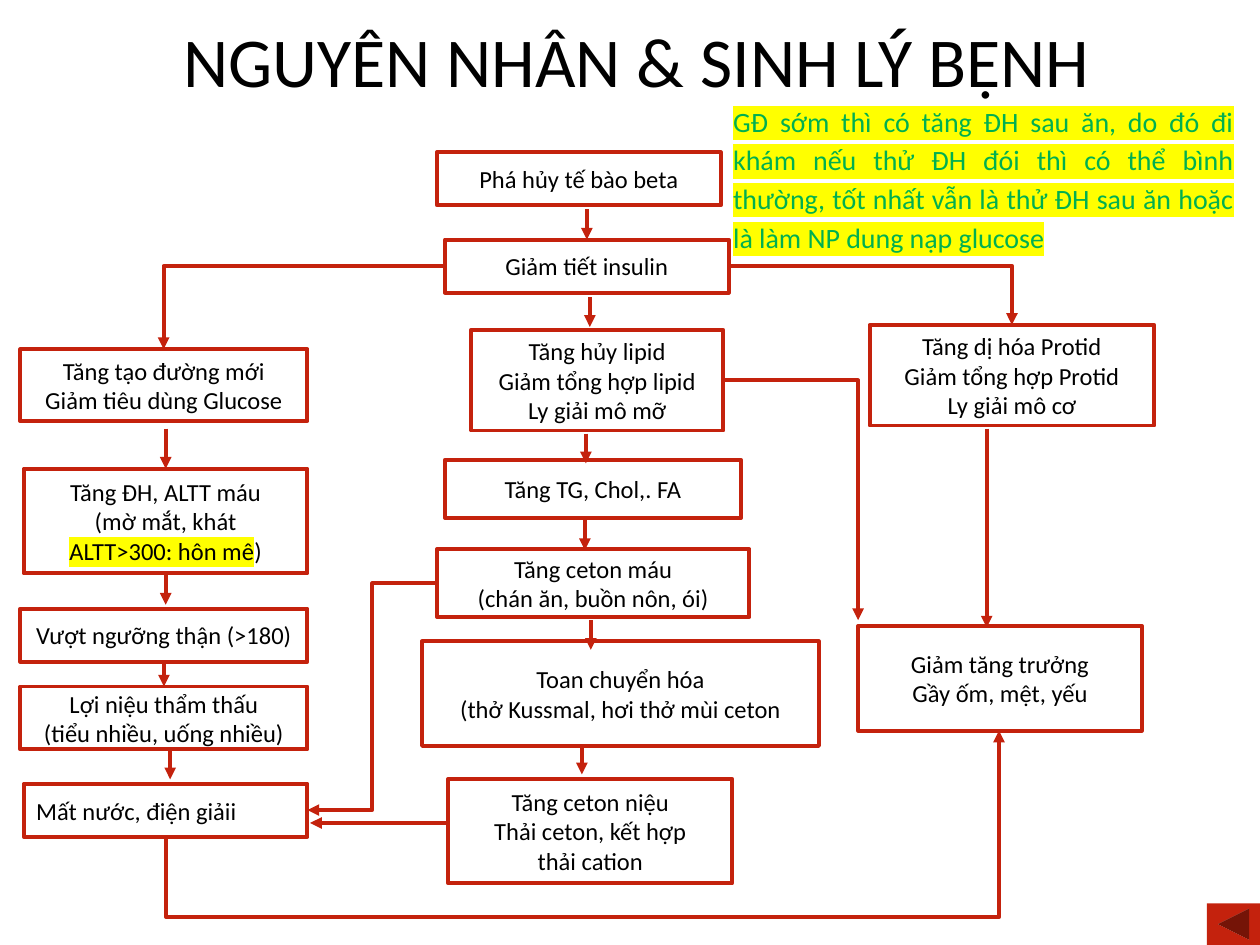
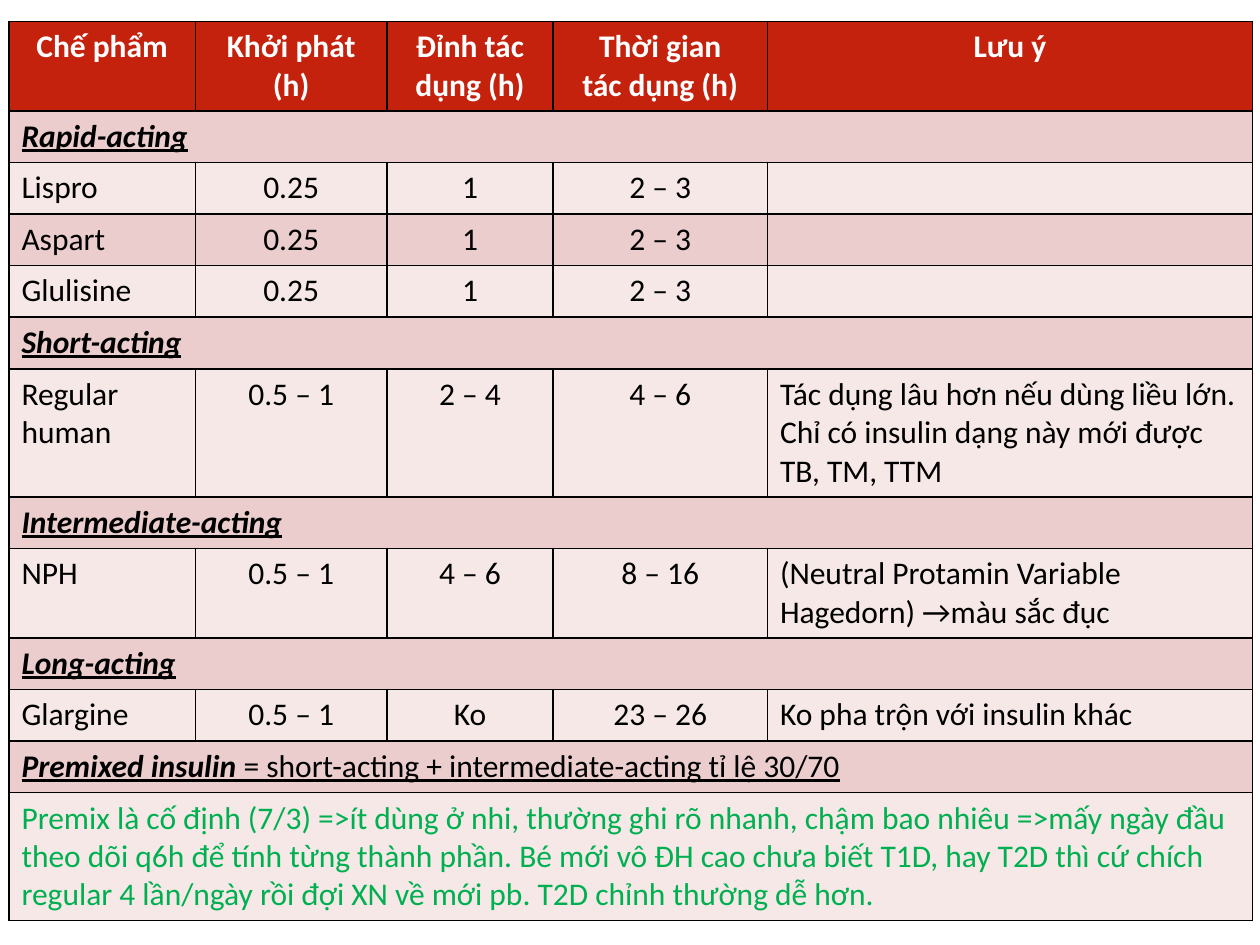
from lxml import etree
from pptx import Presentation
from pptx.dml.color import RGBColor
from pptx.enum import shapes, text
from pptx.oxml import ns
from pptx.util import Cm, Pt

FONT = "Calibri"
RED, WHITE, BLACK = "C4220D", "FFFFFF", "000000"
GREEN, YELLOW = "00B050", "FFFF00"
BAND_DARK, BAND_LIGHT = "EACDCC", "F5E8E7"
CENTER, LEFT, JUSTIFY = (text.PP_ALIGN.CENTER, text.PP_ALIGN.LEFT,
                         text.PP_ALIGN.JUSTIFY)
GROUP = dict(bold=True, italic=True, underline=True)

# name: (left, top, width, height, paragraphs), lengths in cm
BOXES = {
    "beta": (8.81, 3.07, 5.72, 1.07, ["Phá hủy tế bào beta"]),
    "insulin": (8.97, 4.83, 5.72, 1.07, ["Giảm tiết insulin"]),
    "lipid": (9.5, 6.65, 5.08, 2.03,
              ["Tăng hủy lipid", "Giảm tổng hợp lipid", "Ly giải mô mỡ"]),
    "fats": (8.97, 9.27, 5.97, 1.17, ["Tăng TG, Chol,. FA"]),
    "blood ketones": (8.81, 11.07, 6.3, 1.37,
                      ["Tăng ceton máu", "(chán ăn, buồn nôn, ói)"]),
    "acidosis": (8.51, 12.93, 8, 2.11,
                 ["Toan chuyển hóa", "(thở Kussmal, hơi thở mùi ceton"]),
    "urine ketones": (9.04, 15.7, 5.72, 2.11,
                      ["Tăng ceton niệu", "Thải ceton, kết hợp", "thải cation"]),
    "growth": (17.3, 12.62, 5.72, 2.11,
               ["Giảm tăng trưởng", "Gầy ốm, mệt, yếu"]),
    "glucose": (0.41, 7.04, 5.79, 1.45,
                ["Tăng tạo đường mới", "Giảm tiêu dùng Glucose"]),
    "osmolality": (0.48, 9.45, 5.72, 2.11,
                   ["Tăng ĐH, ALTT máu", "(mờ mắt, khát",
                    [("ALTT>300: hôn mê", dict(highlight=YELLOW)), (")", {})]]),
    "renal threshold": (0.41, 12.27, 5.79, 1.07, ["Vượt ngưỡng thận (>180)"]),
    "diuresis": (0.41, 13.84, 5.79, 1.27,
                 ["Lợi niệu thẩm thấu", "(tiểu nhiều, uống nhiều)"]),
    "water loss": (0.48, 15.8, 5.72, 1.07, ["Mất nước, điện giảii"]),
    "protein": (17.53, 6.55, 5.74, 2.03,
                ["Tăng dị hóa Protid", "Giảm tổng hợp Protid", "Ly giải mô cơ"]),
}

# x, top, length in cm, box joined at the start, box joined at the end
DOWN_ARROWS = [
    (11.83, 4.22, 0.61, None, "insulin"),
    (11.89, 5.99, 0.6, None, None),
    (11.81, 8.74, 0.6, None, None),
    (11.79, 10.49, 0.6, None, None),
    (11.91, 12.5, 0.6, None, None),
    (11.73, 15.01, 0.6, None, None),
    (3.34, 8.64, 0.81, None, "osmolality"),
    (3.34, 11.56, 0.63, "osmolality", None),
    (3.3, 13.34, 0.5, "renal threshold", "diuresis"),
    (3.43, 15.11, 0.6, None, None),
    (19.89, 8.64, 4.01, None, None),
]

COLUMNS = [3.76, 3.86, 3.35, 4.32, 9.78]
HEADER = ["Chế phẩm", "Khởi phát\n(h)", "Đỉnh tác\ndụng (h)",
          "Thời gian\ntác dụng (h)", "Lưu ý"]
# A row with one entry spans the whole table
ROWS = [
    [[("Rapid-acting", GROUP)]],
    ["Lispro", "0.25", "1", "2 – 3", ""],
    ["Aspart", "0.25", "1", "2 – 3", ""],
    ["Glulisine", "0.25", "1", "2 – 3", ""],
    [[("Short-acting", GROUP)]],
    ["Regular human", "0.5 – 1", "2 – 4", "4 – 6",
     "Tác dụng lâu hơn nếu dùng liều lớn. Chỉ có insulin dạng này mới được "
     "TB, TM, TTM"],
    [[("Intermediate-acting", GROUP)]],
    ["NPH", "0.5 – 1", "4 – 6", "8 – 16",
     "(Neutral Protamin Variable Hagedorn) →màu sắc đục"],
    [[("Long-acting", GROUP)]],
    ["Glargine", "0.5 – 1", "Ko", "23 – 26", "Ko pha trộn với insulin khác"],
    [[("Premixed insulin", GROUP),
      (" = short-acting + intermediate-acting tỉ lệ 30/70",
       dict(underline=True))]],
    [[("Premix là cố định (7/3) =>ít dùng ở nhi, thường ghi rõ nhanh, chậm bao "
       "nhiêu =>mấy ngày đầu theo dõi q6h để tính từng thành phần. Bé mới vô ĐH "
       "cao chưa biết T1D, hay T2D thì cứ chích regular 4 lần/ngày rồi đợi XN về "
       "mới pb. T2D chỉnh thường dễ hơn.", dict(color=GREEN))]],
]


def rgb(value):
    return RGBColor.from_string(value)


def add_xml(parent, tag, **attrs):
    return etree.SubElement(parent, ns.qn(tag), attrs)


def format_run(r, size, color=BLACK, bold=False, italic=False, underline=False,
               highlight=None):
    f = r.font
    f.size, f.bold, f.italic, f.underline = Pt(size), bold, italic, underline
    f.color.rgb = rgb(color)
    if highlight:
        add_xml(add_xml(r._r.get_or_add_rPr(), "a:highlight"),
                "a:srgbClr", val=highlight)
    f.name = FONT


def write(tf, paragraphs, align=LEFT, spacing=None, **fmt):
    """Fill a text frame; a paragraph is a string or a list of (text, format)."""
    for i, runs in enumerate(paragraphs):
        p = tf.paragraphs[0] if i == 0 else tf.add_paragraph()
        p.alignment = align
        if spacing:
            p.line_spacing = spacing
        if isinstance(runs, str):
            runs = [(runs, {})]
        for words, own in runs:
            r = p.add_run()
            r.text = words
            format_run(r, **{**fmt, **own})


def add_text(s, x, y, w, h, words, anchor=text.MSO_ANCHOR.TOP, **fmt):
    tf = s.shapes.add_textbox(Cm(x), Cm(y), Cm(w), Cm(h)).text_frame
    tf.word_wrap = True
    tf.vertical_anchor = anchor
    write(tf, [words], **fmt)


def add_box(s, x, y, w, h, paragraphs, align=CENTER):
    sp = s.shapes.add_shape(shapes.MSO_SHAPE.RECTANGLE, Cm(x), Cm(y), Cm(w), Cm(h))
    sp.shadow.inherit = False
    sp.fill.solid()
    sp.fill.fore_color.rgb = rgb(WHITE)
    sp.line.color.rgb = rgb(RED)
    sp.line.width = Pt(2.25)
    tf = sp.text_frame
    tf.word_wrap = False
    tf.vertical_anchor = text.MSO_ANCHOR.MIDDLE
    write(tf, paragraphs, align, size=14)
    return sp


def add_arrow(s, x0, y0, x1, y1, kind=shapes.MSO_CONNECTOR.STRAIGHT):
    c = s.shapes.add_connector(kind, Cm(x0), Cm(y0), Cm(x1), Cm(y1))
    c.line.color.rgb = rgb(RED)
    c.line.width = Pt(2.25)
    add_xml(c.line._get_or_add_ln(), "a:tailEnd", type="triangle")
    add_xml(c._element.spPr, "a:effectLst")
    return c


def add_elbow(s, x0, y0, x1, y1, corners=1):
    """Arrow that leaves sideways and turns once or twice."""
    c = add_arrow(s, x0, y0, x1, y1, shapes.MSO_CONNECTOR.ELBOW)
    c._element.spPr.prstGeom.set("prst", f"bentConnector{corners + 1}")


def add_under_arrow(s, x0, y0, x1, y1, bottom):
    """Arrow that drops to bottom, runs sideways and rises to its end."""
    cx, cy = (x0 + x1) / 2, (y0 + y1) / 2
    half_w, half_h = (y0 - y1) / 2, (x1 - x0) / 2
    c = add_arrow(s, cx + half_w, cy + half_h, cx - half_w, cy - half_h,
                  shapes.MSO_CONNECTOR.ELBOW)
    c._element.spPr.find(ns.qn("a:xfrm")).set("rot", str(90 * 60000))
    turn = round((y0 - bottom) / (y0 - y1) * 100000)
    guides = c._element.spPr.prstGeom.get_or_add_avLst()
    add_xml(guides, "a:gd", name="adj1", fmla=f"val {turn}")


def add_back_button(s):
    sp = s.shapes.add_shape(shapes.MSO_SHAPE.ACTION_BUTTON_BACK_OR_PREVIOUS,
                            Cm(24.33), Cm(18.21), Cm(1.07), Cm(0.84))
    sp.shadow.inherit = False
    sp.fill.solid()
    sp.fill.fore_color.rgb = rgb(RED)
    sp.line.fill.background()


def style_cell(cell, fill):
    tcPr = cell._tc.get_or_add_tcPr()
    for side in ("a:lnL", "a:lnR", "a:lnT", "a:lnB"):
        ln = add_xml(tcPr, side, w=str(Pt(1)))
        add_xml(add_xml(ln, "a:solidFill"), "a:srgbClr", val=BLACK)
    cell.fill.solid()
    cell.fill.fore_color.rgb = rgb(fill)


def add_insulin_table(s):
    n_rows, n_cols = len(ROWS) + 1, len(COLUMNS)
    row_h = 1.04
    table = s.shapes.add_table(n_rows, n_cols, Cm(0.18), Cm(0.43),
                               Cm(sum(COLUMNS)), Cm(n_rows * row_h)).table
    table.horz_banding = False
    for column, width in zip(table.columns, COLUMNS):
        column.width = Cm(width)
    for i, row in enumerate([HEADER] + ROWS):
        table.rows[i].height = Cm(row_h)
        fill = RED if i == 0 else BAND_DARK if i % 2 else BAND_LIGHT
        for j in range(n_cols):
            style_cell(table.cell(i, j), fill)
        if len(row) == 1:
            table.cell(i, 0).merge(table.cell(i, n_cols - 1))
        for j, content in enumerate(row):
            tf = table.cell(i, j).text_frame
            if not content:
                tf.paragraphs[0].font.size = Pt(18)
            elif i == 0:
                write(tf, content.split("\n"), CENTER, size=18, color=WHITE,
                      bold=True)
            else:
                write(tf, [content], CENTER if 0 < j < n_cols - 1 else LEFT,
                      size=18)


def add_cause_diagram(s):
    boxes = {name: add_box(s, *box, align=LEFT if name == "water loss" else CENTER)
             for name, box in BOXES.items()}
    for x, y, length, start, end in DOWN_ARROWS:
        c = add_arrow(s, x, y, x, y + length)
        if start:
            c.begin_connect(boxes[start], 2)
        if end:
            c.end_connect(boxes[end], 0)
    add_arrow(s, 8.99, 16.59, 6.25, 16.59)
    add_elbow(s, 14.58, 7.67, 17.3, 12.5)
    add_elbow(s, 8.97, 5.36, 3.3, 7.04)
    add_elbow(s, 14.69, 5.36, 20.4, 6.55)
    add_elbow(s, 8.81, 11.76, 6.2, 16.33, corners=2)
    add_under_arrow(s, 3.35, 16.84, 20.14, 14.73, bottom=18.49)


def main():
    prs = Presentation()
    prs.slide_width, prs.slide_height = Cm(25.4), Cm(19.05)
    blank = prs.slide_layouts[6]

    s = prs.slides.add_slide(blank)
    add_text(s, 0.41, 0.3, 24.84, 2.03, "NGUYÊN NHÂN & SINH LÝ BỆNH",
             anchor=text.MSO_ANCHOR.MIDDLE, align=CENTER, spacing=0.9, size=40)
    add_back_button(s)
    add_cause_diagram(s)
    add_text(s, 14.53, 1.88, 10.59, 3.33,
             "GĐ sớm thì có tăng ĐH sau ăn, do đó đi khám nếu thử ĐH đói thì có "
             "thể bình thường, tốt nhất vẫn là thử ĐH sau ăn hoặc là làm NP dung "
             "nạp glucose",
             align=JUSTIFY, spacing=1.15, size=16, color=GREEN, highlight=YELLOW)

    add_insulin_table(prs.slides.add_slide(blank))
    prs.save("out.pptx")


if __name__ == "__main__":
    main()
